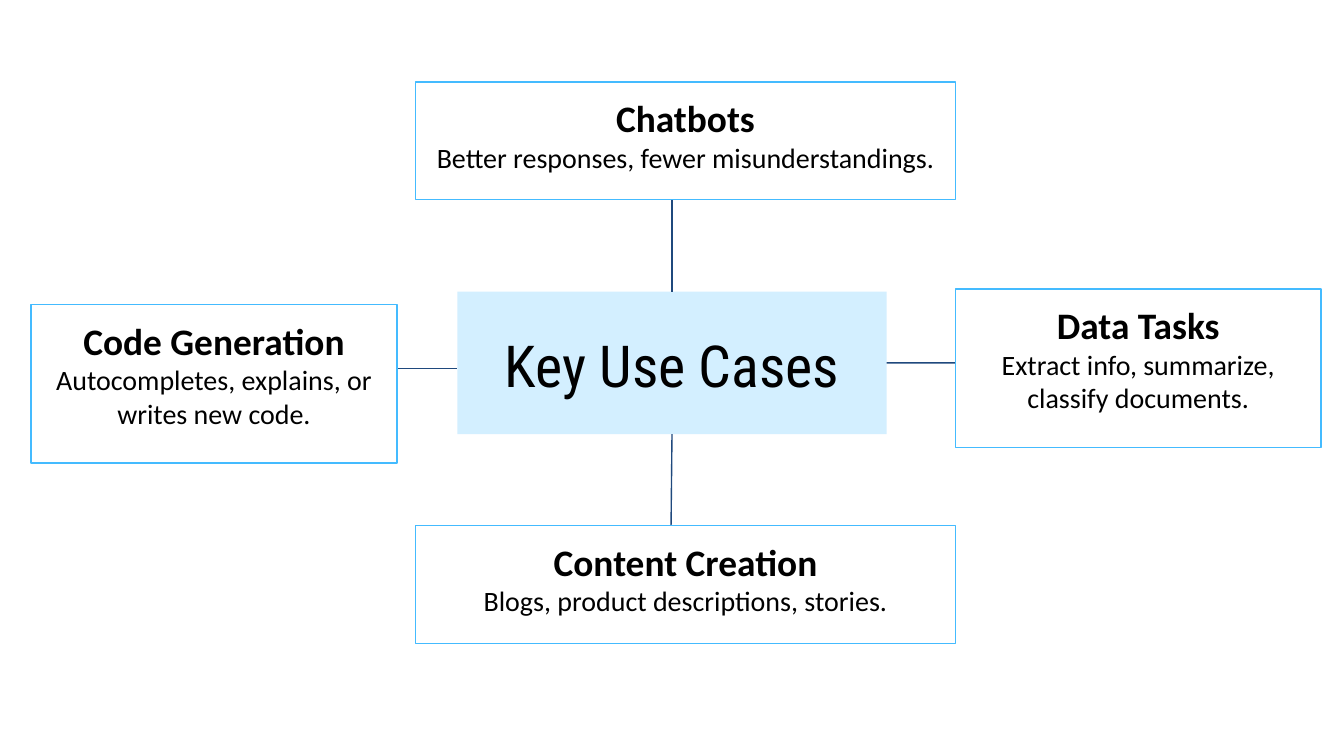
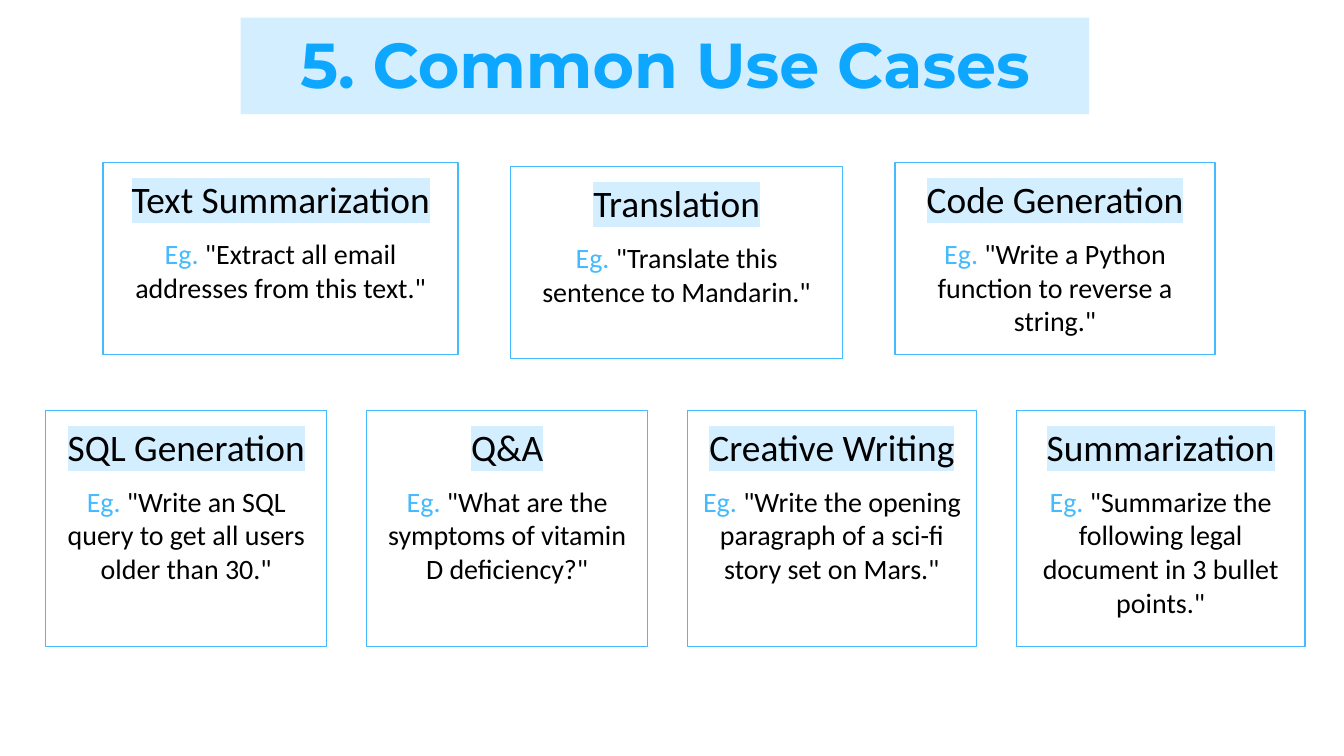
import pptx
import pptx.util
import pptx.dml.color
import pptx.enum.shapes
import pptx.enum.text
import pptx.oxml
import pptx.oxml.ns

Pt = pptx.util.Pt
RGBColor = pptx.dml.color.RGBColor

BLACK = RGBColor(0x00, 0x00, 0x00)
PALE_BLUE = RGBColor(0xD3, 0xEF, 0xFF)
SKY_BLUE = RGBColor(0x44, 0xBB, 0xFF)
TITLE_BLUE = RGBColor(0x0E, 0xA7, 0xFF)
NAVY = RGBColor(0x1F, 0x49, 0x7D)

BODY_FONT = "Calibri"
HEADING_SIZE = 20
BODY_SIZE = 15
INSET = 7.2
LINE_WIDTH = 0.75

HUB = {
    "title": "Key Use Cases",
    "band": (245, 156.2, 230, 76.4),
    "box": (249, 169.2, 222, 62),
    "font": ("Roboto Condensed", 31, BLACK, False),
}
HUB_CARDS = [
    ("Chatbots", "Better responses, fewer misunderstandings.",
     (222.5, 44, 289.5, 63)),
    ("Content Creation", "Blogs, product descriptions, stories.",
     (222.5, 281.6, 289.5, 63)),
    ("Code Generation", "Autocompletes, explains, or writes new code.",
     (16.7, 163, 196, 85)),
    ("Data Tasks", "Extract info, summarize, classify documents.",
     (511.8, 154.8, 196, 85)),
]
HUB_SPOKES = [
    (0, (360, 107)),
    (2, (359.5, 281.6)),
    (3, (511.8, 194.4)),
]
LEFT_SPOKE = (212.7, 245, 197.3)

COMMON = {
    "title": "5. Common Use Cases",
    "band": (128.9, 9.4, 454.6, 51.8),
    "box": (143.3, 6.5, 426.2, 33.8),
    "font": ("Montserrat", 34, TITLE_BLUE, True),
}
CASE_ROWS = [
    {"left": 55.3, "gap": 28, "height": 102.8, "cards": [
        ("Text Summarization", "Extract all email addresses from this text.", 190.2, 87),
        ("Translation", "Translate this sentence to Mandarin.", 178, 89.2),
        ("Code Generation", "Write a Python function to reverse a string.", 171.4, 87),
    ]},
    {"left": 24.5, "gap": 21.3, "height": 126.6, "cards": [
        ("SQL Generation", "Write an SQL query to get all users older than 30.", 150.6, 219.8),
        ("Q&A", "What are the symptoms of vitamin D deficiency?", 150.6, 219.8),
        ("Creative Writing", "Write the opening paragraph of a sci-fi story set on Mars.",
         154.8, 219.8),
        ("Summarization", "Summarize the following legal document in 3 bullet points.",
         154.8, 219.8),
    ]},
]


def points(values):
    return [Pt(v) for v in values]


def format_run(r, name, size, color, bold=False, highlight=None):
    r.font.size = Pt(size)
    r.font.bold = bold
    r.font.color.rgb = color
    if highlight is not None:
        r.font._element.append(pptx.oxml.parse_xml(
            f'<a:highlight {pptx.oxml.ns.nsdecls("a")}>'
            f'<a:srgbClr val="{highlight}"/></a:highlight>'))
    r.font.name = name


def format_frame(tf):
    tf.word_wrap = True
    tf.auto_size = pptx.enum.text.MSO_AUTO_SIZE.NONE
    tf.vertical_anchor = pptx.enum.text.MSO_ANCHOR.TOP
    tf.margin_left = tf.margin_right = tf.margin_top = tf.margin_bottom = Pt(INSET)


def add_rect(s, box):
    sp = s.shapes.add_shape(pptx.enum.shapes.MSO_SHAPE.RECTANGLE, *points(box))
    sp.shadow.inherit = False
    return sp


def add_title_slide(prs, heading):
    s = prs.slides.add_slide(prs.slide_layouts[5])
    band = add_rect(s, heading["band"])
    band.fill.solid()
    band.fill.fore_color.rgb = PALE_BLUE
    band.line.fill.background()
    title = s.shapes.title
    title.left, title.top, title.width, title.height = points(heading["box"])
    title.element.addprevious(band.element)
    tf = title.text_frame
    tf.text = heading["title"]
    format_frame(tf)
    p = tf.paragraphs[0]
    p.alignment = pptx.enum.text.PP_ALIGN.CENTER
    format_run(p.runs[0], *heading["font"])
    return s, band


def add_card(s, box, heading, body_runs, bold=False, highlight=None, gap=0):
    sp = add_rect(s, box)
    sp.fill.background()
    sp.line.color.rgb = SKY_BLUE
    sp.line.width = Pt(LINE_WIDTH)
    tf = sp.text_frame
    format_frame(tf)
    p = tf.paragraphs[0]
    p.text = heading
    p.alignment = pptx.enum.text.PP_ALIGN.CENTER
    format_run(p.runs[0], BODY_FONT, HEADING_SIZE, BLACK, bold, highlight)
    p = tf.add_paragraph()
    p.alignment = pptx.enum.text.PP_ALIGN.CENTER
    p.space_before = Pt(gap)
    for text, color in body_runs:
        r = p.add_run()
        r.text = text
        format_run(r, BODY_FONT, BODY_SIZE, color)


def add_spoke(s, start, end):
    c = s.shapes.add_connector(
        pptx.enum.shapes.MSO_CONNECTOR.STRAIGHT, *points(start + end))
    c.line.color.rgb = NAVY
    c.line.width = Pt(LINE_WIDTH)
    c.element.spPr.append(pptx.oxml.parse_xml(
        f'<a:effectLst {pptx.oxml.ns.nsdecls("a")}/>'))
    return c


def build_hub(prs):
    s, band = add_title_slide(prs, HUB)
    for side, end in HUB_SPOKES:
        add_spoke(s, end, end).begin_connect(band, side)
    x1, x2, y = LEFT_SPOKE
    add_spoke(s, (x1, y), (x2, y))
    for heading, body, box in HUB_CARDS:
        add_card(s, box, heading, [(body, BLACK)], bold=True)


def build_cases(prs):
    s, band = add_title_slide(prs, COMMON)
    for row in CASE_ROWS:
        x = row["left"]
        for heading, example, width, top in row["cards"]:
            runs = [("Eg.", SKY_BLUE), (f' "{example}"', BLACK)]
            add_card(s, (x, top, width, row["height"]), heading, runs,
                     highlight=PALE_BLUE, gap=8.5)
            x += width + row["gap"]


def main():
    prs = pptx.Presentation()
    prs.slide_width, prs.slide_height = Pt(720), Pt(405)
    build_hub(prs)
    build_cases(prs)
    prs.save("out.pptx")


if __name__ == "__main__":
    main()
